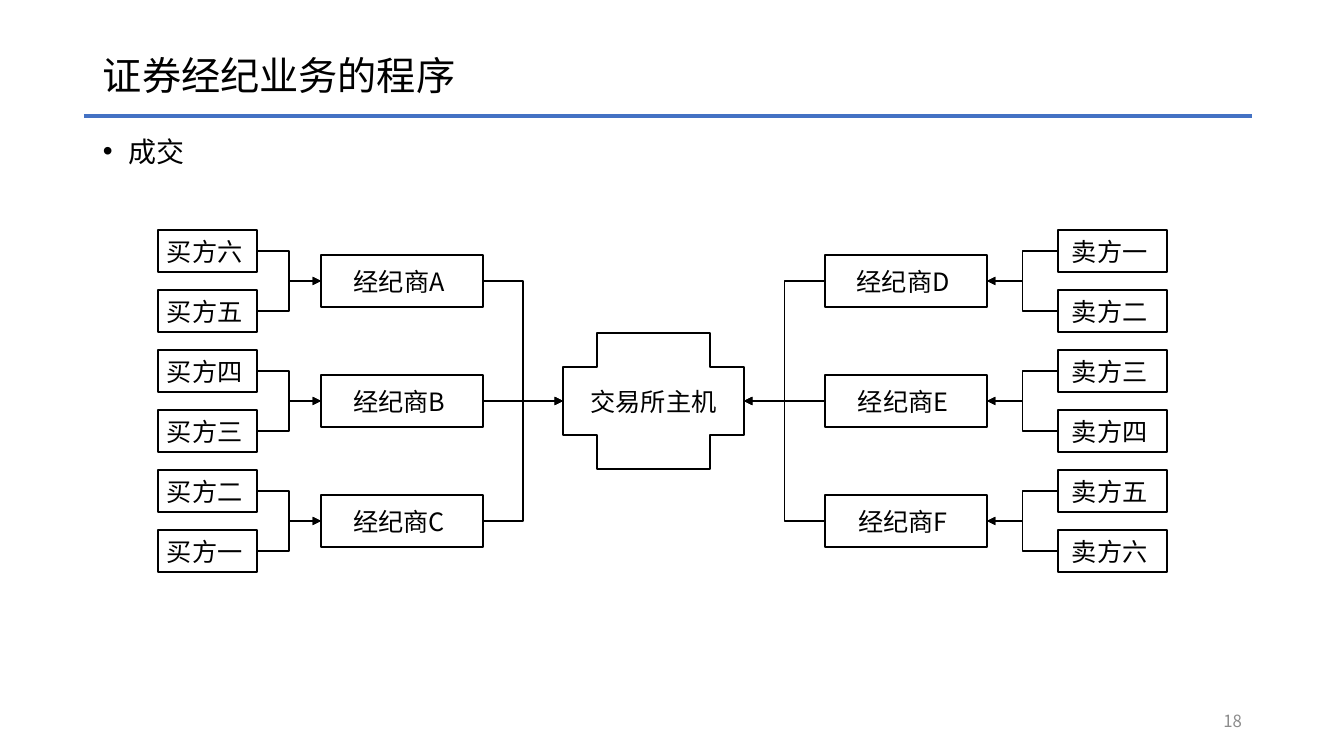
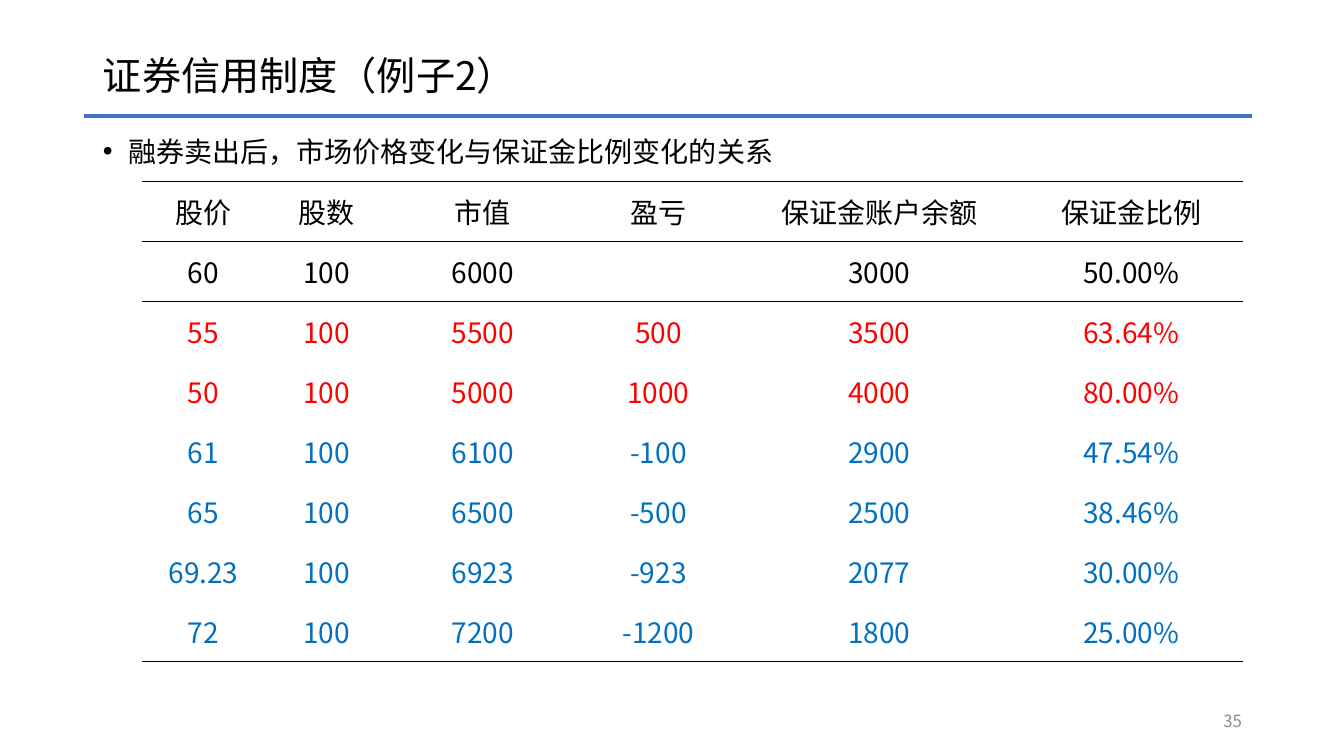
"""Build two slides on securities brokerage: a trade flow and a margin table."""
from lxml import etree
from pptx import Presentation
from pptx import util as u
from pptx.dml.color import RGBColor
from pptx.enum import shapes, text
from pptx.oxml.ns import qn

PX = 9072
FONT = "Noto Sans CJK SC"
COLORS = {"ink": "000000", "rule": "4472C4", "page": "8C8C8C",
          "gain": "FF0000", "loss": "0070C0"}
NO_GRID = "{2D5ABB26-0587-4C30-8999-92F81FD0307C}"

BOX_TOP, BOX_H, BOX_STEP = 230, 42, 60
BROKER_TOP, BROKER_W, BROKER_H, BROKER_STEP = 255, 162, 52, 120
SIDES = [
    {"clients": ["买方六", "买方五", "买方四", "买方三", "买方二", "买方一"],
     "x": 158, "w": 99, "brokers": "ABC", "broker_x": 321, "out": 3, "in": 1},
    {"clients": ["卖方一", "卖方二", "卖方三", "卖方四", "卖方五", "卖方六"],
     "x": 1058, "w": 109, "brokers": "DEF", "broker_x": 825, "out": 1, "in": 3},
]

COLUMNS = [123, 123, 190, 161, 281, 223]
ROW_H = 60
ROWS = [
    ("ink", ["股价", "股数", "市值", "盈亏", "保证金账户余额", "保证金比例"]),
    ("ink", ["60", "100", "6000", "", "3000", "50.00%"]),
    ("gain", ["55", "100", "5500", "500", "3500", "63.64%"]),
    ("gain", ["50", "100", "5000", "1000", "4000", "80.00%"]),
    ("loss", ["61", "100", "6100", "-100", "2900", "47.54%"]),
    ("loss", ["65", "100", "6500", "-500", "2500", "38.46%"]),
    ("loss", ["69.23", "100", "6923", "-923", "2077", "30.00%"]),
    ("loss", ["72", "100", "7200", "-1200", "1800", "25.00%"]),
]


def px(*values):
    return [v * PX for v in values]


def rgb(name):
    return RGBColor.from_string(COLORS[name])


def add_run(p, words, size, color="ink"):
    r = p.add_run()
    r.text = words
    r.font.name = FONT
    r.font.size = u.Pt(size)
    r.font.color.rgb = rgb(color)
    etree.SubElement(r.font._element, qn("a:ea"), typeface=FONT)


def add_text(s, at, words, size, color="ink", anchor=text.MSO_ANCHOR.MIDDLE):
    tf = s.shapes.add_textbox(*px(*at)).text_frame
    tf.word_wrap = True
    tf.vertical_anchor = anchor
    p = tf.paragraphs[0]
    add_run(p, words, size, color)
    return p


def add_line(s, kind, ends, color="ink", width=1):
    line = s.shapes.add_connector(kind, *ends)
    line.line.color.rgb = rgb(color)
    line.line.width = u.Pt(width)
    etree.SubElement(line._element.spPr, qn("a:effectLst"))
    return line


def add_frame(prs, title, bullet, page):
    s = prs.slides.add_slide(prs.slide_layouts[6])
    add_text(s, (93, 40, 1159, 75), title, 28).line_spacing = 0.9
    p = add_text(s, (93, 133, 1159, 548), bullet, 20,
                 anchor=text.MSO_ANCHOR.TOP)
    pPr = p._p.get_or_add_pPr()
    pPr.set("marL", str(u.Inches(0.25)))
    pPr.set("indent", str(-u.Inches(0.25)))
    etree.SubElement(pPr, qn("a:buFont"), typeface="Arial")
    etree.SubElement(pPr, qn("a:buChar"), char="•")
    p.line_spacing = 0.9
    add_line(s, shapes.MSO_CONNECTOR.STRAIGHT, px(84, 116, 1252, 116), "rule", 3)
    p = add_text(s, (950, 701, 302, 40), page, 12, "page")
    p.alignment = text.PP_ALIGN.RIGHT
    return s


def add_box(s, at, words, kind=shapes.MSO_SHAPE.RECTANGLE):
    sp = s.shapes.add_shape(kind, *px(*at))
    sp.shadow.inherit = False
    sp.fill.background()
    sp.line.color.rgb = rgb("ink")
    sp.line.width = u.Pt(1)
    tf = sp.text_frame
    tf.word_wrap = False
    tf.vertical_anchor = text.MSO_ANCHOR.MIDDLE
    p = tf.paragraphs[0]
    p.alignment = text.PP_ALIGN.CENTER
    add_run(p, words, 18)
    return sp


def side_point(sp, site):
    return sp.left + (sp.width if site == 3 else 0), sp.top + sp.height // 2


def add_arrow(s, start, out_site, end, in_site):
    a, b = side_point(start, out_site), side_point(end, in_site)
    level = a[1] == b[1]
    kind = shapes.MSO_CONNECTOR.STRAIGHT if level else shapes.MSO_CONNECTOR.ELBOW
    line = add_line(s, kind, a + b)
    line.begin_connect(start, out_site)
    line.end_connect(end, in_site)
    etree.SubElement(line.line._get_or_add_ln(), qn("a:tailEnd"), type="triangle")


def add_side(s, side, host):
    brokers = []
    for i, letter in enumerate(side["brokers"]):
        at = (side["broker_x"], BROKER_TOP + i * BROKER_STEP, BROKER_W, BROKER_H)
        broker = add_box(s, at, f"经纪商{letter} ")
        add_arrow(s, broker, side["out"], host, side["in"])
        brokers.append(broker)
    for i, client in enumerate(side["clients"]):
        at = (side["x"], BOX_TOP + i * BOX_STEP, side["w"], BOX_H)
        box = add_box(s, at, client + " ")
        add_arrow(s, box, side["out"], brokers[i // 2], side["in"])


def add_border(cell, tag):
    ln = etree.SubElement(cell._tc.get_or_add_tcPr(), qn(tag), w=str(u.Pt(0.5)))
    fill = etree.SubElement(ln, qn("a:solidFill"))
    etree.SubElement(fill, qn("a:srgbClr"), val=COLORS["ink"])


def fill_cell(cell, words, color, borders):
    for tag in borders:
        add_border(cell, tag)
    cell.fill.background()
    cell.margin_left = cell.margin_right = cell.margin_top = PX
    cell.margin_bottom = 0
    cell.vertical_anchor = text.MSO_ANCHOR.MIDDLE
    if words:
        p = cell.text_frame.paragraphs[0]
        p.alignment = text.PP_ALIGN.CENTER
        add_run(p, words, 20, color)


def add_margin_table(s):
    size = px(142, 181, sum(COLUMNS), ROW_H * len(ROWS))
    table = s.shapes.add_table(len(ROWS), len(COLUMNS), *size).table
    table.horz_banding = False
    table._tbl.tblPr.find(qn("a:tableStyleId")).text = NO_GRID
    for column, width in zip(table.columns, COLUMNS):
        column.width = width * PX
    borders = {0: ["a:lnT", "a:lnB"], 1: ["a:lnT"], len(ROWS) - 1: ["a:lnB"]}
    for i, (color, values) in enumerate(ROWS):
        table.rows[i].height = ROW_H * PX
        for j, words in enumerate(values):
            fill_cell(table.cell(i, j), words, color, borders.get(i, []))


def main():
    prs = Presentation()
    prs.slide_width, prs.slide_height = px(1344, 756)
    s = add_frame(prs, "证券经纪业务的程序", "成交", "18")
    host = add_box(s, (563, 333, 181, 136), "交易所主机", shapes.MSO_SHAPE.CROSS)
    for side in SIDES:
        add_side(s, side, host)
    s = add_frame(prs, "证券信用制度（例子2）",
                  "融券卖出后，市场价格变化与保证金比例变化的关系", "35")
    add_margin_table(s)
    prs.save("out.pptx")


if __name__ == "__main__":
    main()
